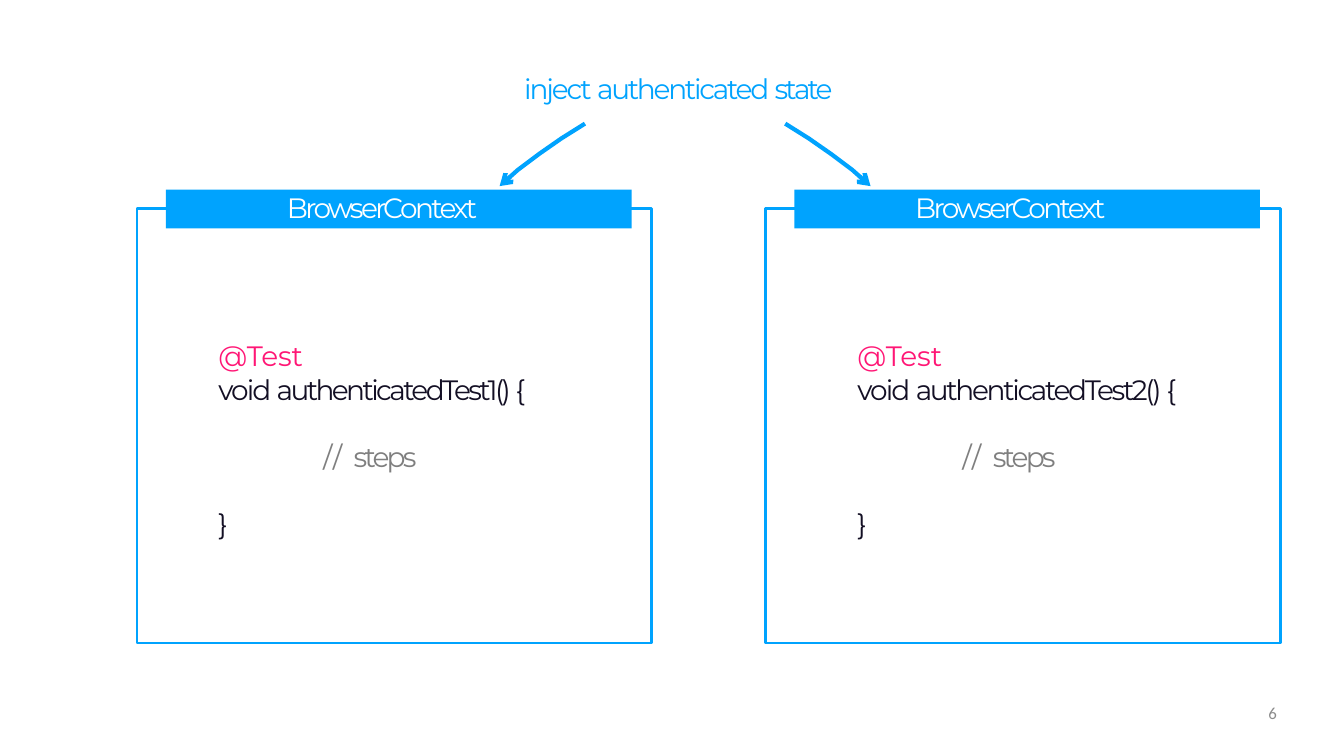
from lxml import etree
from pptx import Presentation
from pptx.dml.color import RGBColor
from pptx.enum.shapes import MSO_SHAPE
from pptx.enum.text import PP_ALIGN
from pptx.oxml.ns import qn
from pptx.util import Inches, Pt

RECT = MSO_SHAPE.RECTANGLE
LEFT, RIGHT = PP_ALIGN.LEFT, PP_ALIGN.RIGHT
BLUE, PINK, INK, GREY = "00A3FE", "FF1675", "130F24", "7F7F7F"


def rgb(code):
    return RGBColor.from_string(code)


def write(x, y, w, h, lines, font="Montserrat", size=30, align=LEFT, top=0.01):
    """Add a text box; a line is (indent, space before, runs), a run (text, colour, tracking)."""
    box = slide.shapes.add_textbox(Inches(x), Inches(y), Inches(w), Inches(h))
    frame = box.text_frame
    frame.word_wrap = True
    frame.margin_left = frame.margin_right = frame.margin_bottom = 0
    frame.margin_top = Inches(top)
    for i, (indent, before, runs) in enumerate(lines):
        para = frame.add_paragraph() if i else frame.paragraphs[0]
        para.alignment = align
        para.space_before = Pt(before)
        para._p.get_or_add_pPr().set("marL", str(Inches(indent)))
        for text, color, track in runs:
            run = para.add_run()
            run.text = text
            run.font.name = font
            run.font.size = Pt(size)
            run.font.color.rgb = rgb(color)
            run._r.get_or_add_rPr().set("spc", str(round(track * 100)))


prs = Presentation()
prs.slide_width, prs.slide_height = Inches(20), Inches(11.25)
slide = prs.slides.add_slide(prs.slide_layouts[6])

# Browser contexts: frame, header band, label and test code
panels = [
    (2.04, 3.24, 5.32, "authenticatedTest1() ", -2.8),
    (11.39, 12.75, 5.4, "authenticatedTest2() ", -2.5),
]
for left, code, width, name, track in panels:
    frame = slide.shapes.add_shape(
        RECT, Inches(left), Inches(3.1), Inches(7.66), Inches(6.47))
    frame.shadow.inherit = False
    frame.fill.background()
    frame.line.color.rgb = rgb(BLUE)
    frame.line.width = Pt(3)

    band = slide.shapes.add_shape(
        RECT, Inches(left + 0.43), Inches(2.82), Inches(6.93), Inches(0.58))
    band.shadow.inherit = False
    band.fill.solid()
    band.fill.fore_color.rgb = rgb(BLUE)
    band.line.fill.background()

    write(left + 2.22, 2.82, 3.24, 0.53,
          [(0.01, 0, [("BrowserContext", "FFFFFF", -2.8)])])
    write(code, 5.03, width, 3.03, [
        (0.01, 0, [("@Test", PINK, -0.1)]),
        (0.01, 0, [("void ", INK, -2.1), (name, INK, track), ("{", INK, -0.5)]),
        (1.57, 36, [("// ", GREY, 2.2), ("steps", GREY, -3)]),
        (0.01, 36, [("}", INK, -0.5)]),
    ])

# Curved arrows, mirrored about the middle of the heading
middle = 10.195
curve = [(1.49, 1.84), (1.84, 2.06), (2.17, 2.29), (2.49, 2.53), (2.76, 2.77)]
for side in (-1, 1):
    points = [(Inches(middle + side * dx), Inches(y)) for dx, y in curve]
    pen = slide.shapes.build_freeform(*points[0])
    pen.add_line_segments(points[1:], close=False)
    arrow = pen.convert_to_shape()
    arrow.shadow.inherit = False
    arrow.fill.background()
    arrow.line.color.rgb = rgb(BLUE)
    arrow.line.width = Pt(4.5)
    etree.SubElement(arrow.line._get_or_add_ln(), qn("a:tailEnd"),
                     type="arrow", w="med", len="med")

write(1.09, 0.86, 17.82, 0.83, [(6.71, 0, [
    ("inject ", BLUE, -2.3), ("authenticated ", BLUE, -2.4), ("state", BLUE, -3),
])], top=0.21)
write(14.4, 10.46, 4.6, 0.56, [(0, 0, [("6", "8C8C8C", 0)])],
      font="Calibri", size=18, align=RIGHT, top=0)

prs.save("out.pptx")
